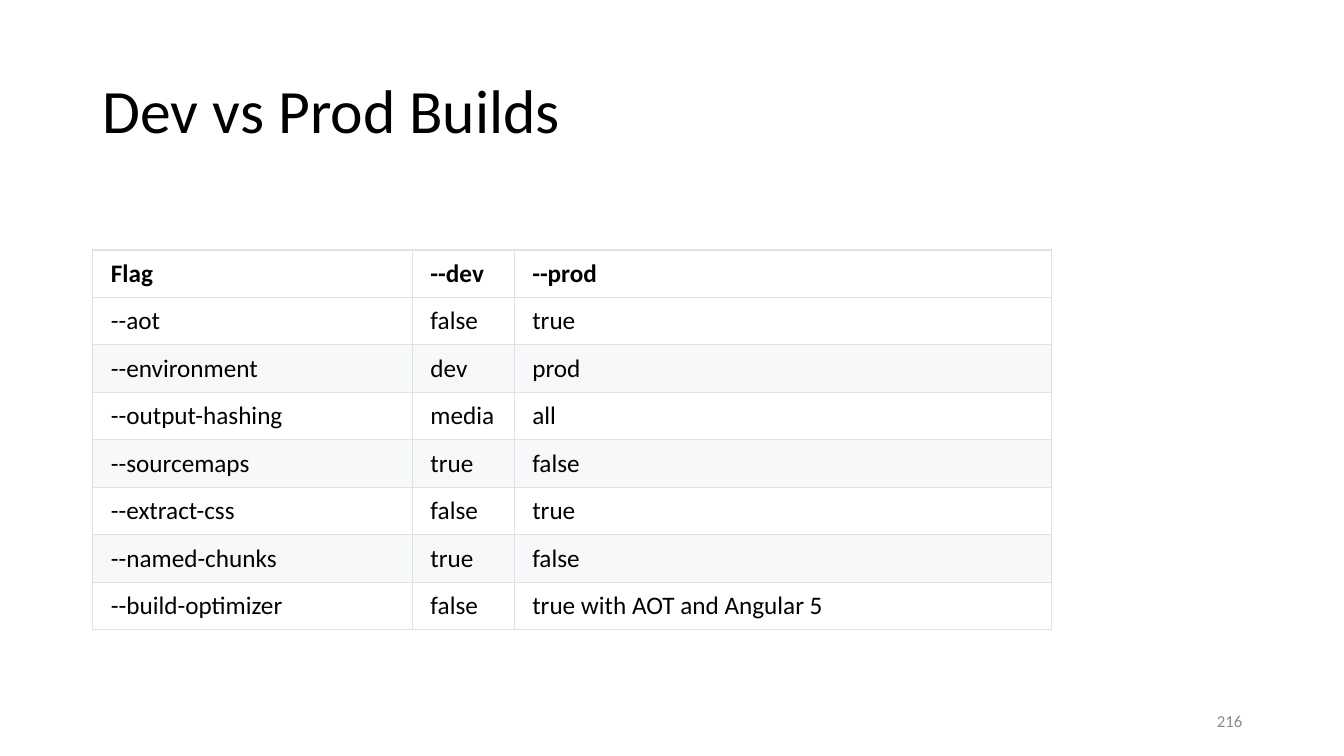
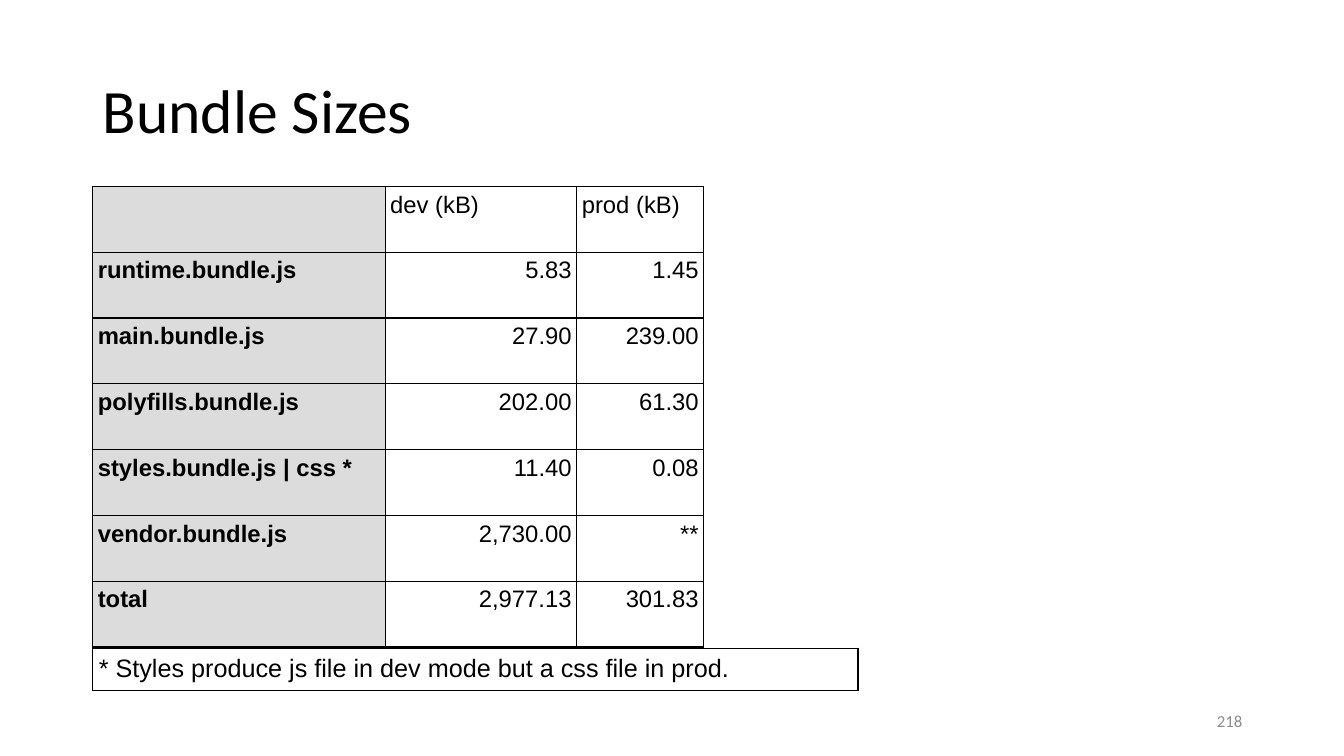
import pptx
import pptx.dml.color
import pptx.enum.text
import pptx.oxml
import pptx.oxml.ns
import pptx.util

PX = 9144  # 100 px to the inch
ALIGN = pptx.enum.text.PP_ALIGN
ANCHOR = pptx.enum.text.MSO_ANCHOR

BLACK, WHITE = "000000", "FFFFFF"
PAGE_GRAY, STRIPE, HEADER_GRAY, PALE_LINE = "8C8C8C", "F6F8FA", "DCDCDC", "DFE2E5"
LEFT = 92

BUILD_FLAGS = [
    ("Flag", "--dev", "--prod"),
    ("--aot", "false", "true"),
    ("--environment", "dev", "prod"),
    ("--output-hashing", "media", "all"),
    ("--sourcemaps", "true", "false"),
    ("--extract-css", "false", "true"),
    ("--named-chunks", "true", "false"),
    ("--build-optimizer", "false", "true with AOT and Angular 5"),
]
BUNDLE_SIZES = [
    ("", "dev (kB)", "prod (kB)"),
    ("runtime.bundle.js", "5.83", "1.45"),
    ("main.bundle.js", "27.90", "239.00"),
    ("polyfills.bundle.js", "202.00", "61.30"),
    ("styles.bundle.js | css *", "11.40", "0.08"),
    ("vendor.bundle.js", "2,730.00", "**"),
    ("total", "2,977.13", "301.83"),
]
FOOTNOTE = [("* Styles produce js file in dev mode but a css file in prod.",)]


def px(length):
    return pptx.util.Emu(round(length * PX))


def color(value):
    return pptx.dml.color.RGBColor.from_string(value)


def write(frame, text, font, size, ink=BLACK, bold=False, align=ALIGN.LEFT):
    paragraph = frame.paragraphs[0]
    paragraph.text = text
    paragraph.alignment = align
    paragraph.font.name = font
    paragraph.font.size = pptx.util.Pt(size)
    paragraph.font.bold = bold
    paragraph.font.color.rgb = color(ink)
    return paragraph


def add_text(slide, box, text, size, **style):
    frame = slide.shapes.add_textbox(*map(px, box)).text_frame
    frame.word_wrap = True
    frame.vertical_anchor = ANCHOR.MIDDLE
    return write(frame, text, "Calibri", size, **style)


def add_borders(cell, line_color):
    properties = cell._tc.get_or_add_tcPr()
    for side in "LRTB":
        properties.append(pptx.oxml.parse_xml(
            f'<a:ln{side} {pptx.oxml.ns.nsdecls("a")} w="12700"><a:solidFill>'
            f'<a:srgbClr val="{line_color}"/></a:solidFill></a:ln{side}>'))


def add_table(slide, top, widths, height, rows, cell_style, font, size, line_color,
              insets, anchor=ANCHOR.TOP):
    """Place a table; cell_style(row, column) gives fill, bold and alignment."""
    table = slide.shapes.add_table(
        len(rows), len(widths), px(LEFT), px(top), px(sum(widths)), px(height)).table
    table.first_row = table.horz_banding = False
    for column, width in zip(table.columns, widths):
        column.width = px(width)
    for row_index, values in enumerate(rows):
        table.rows[row_index].height = px(height / len(rows))
        for column_index, text in enumerate(values):
            fill, bold, align = cell_style(row_index, column_index)
            cell = table.cell(row_index, column_index)
            add_borders(cell, line_color)
            cell.fill.solid()
            cell.fill.fore_color.rgb = color(fill)
            cell.margin_left = cell.margin_right = px(insets[0])
            cell.margin_top = cell.margin_bottom = px(insets[1])
            cell.vertical_anchor = anchor
            write(cell.text_frame, text, font, size, bold=bold, align=align)


def flag_style(row, column):
    return STRIPE if row and row % 2 == 0 else WHITE, row == 0, ALIGN.LEFT


def bundle_style(row, column):
    if column == 0:
        return HEADER_GRAY, True, ALIGN.LEFT
    return WHITE, False, ALIGN.RIGHT if row else ALIGN.LEFT


def footnote_style(row, column):
    return WHITE, False, ALIGN.LEFT


def add_slide(presentation, title, number):
    """Add a slide with the shared title and page number."""
    slide = presentation.slides.add_slide(presentation.slide_layouts[6])
    add_text(slide, (LEFT, 40, 1150, 145), title, 44).line_spacing = 0.9
    add_text(slide, (942, 695, 300, 40), number, 12, ink=PAGE_GRAY, align=ALIGN.RIGHT)
    return slide


def add_builds_slide(presentation):
    slide = add_slide(presentation, "Dev vs Prod Builds", "216")
    add_table(slide, 248, (317, 101, 533), 377, BUILD_FLAGS, flag_style,
              "Calibri", 18, PALE_LINE, (18, 8), ANCHOR.MIDDLE)


def add_bundles_slide(presentation):
    slide = add_slide(presentation, "Bundle Sizes", "218")
    add_table(slide, 185, (290, 190, 126), 457, BUNDLE_SIZES, bundle_style,
              "Arial", 17, BLACK, (5, 5))
    add_table(slide, 643, (759,), 40, FOOTNOTE, footnote_style,
              "Arial", 18, BLACK, (6, 6))


def main():
    presentation = pptx.Presentation()
    presentation.slide_width, presentation.slide_height = px(1333), px(750)
    add_builds_slide(presentation)
    add_bundles_slide(presentation)
    presentation.save("out.pptx")


if __name__ == "__main__":
    main()
